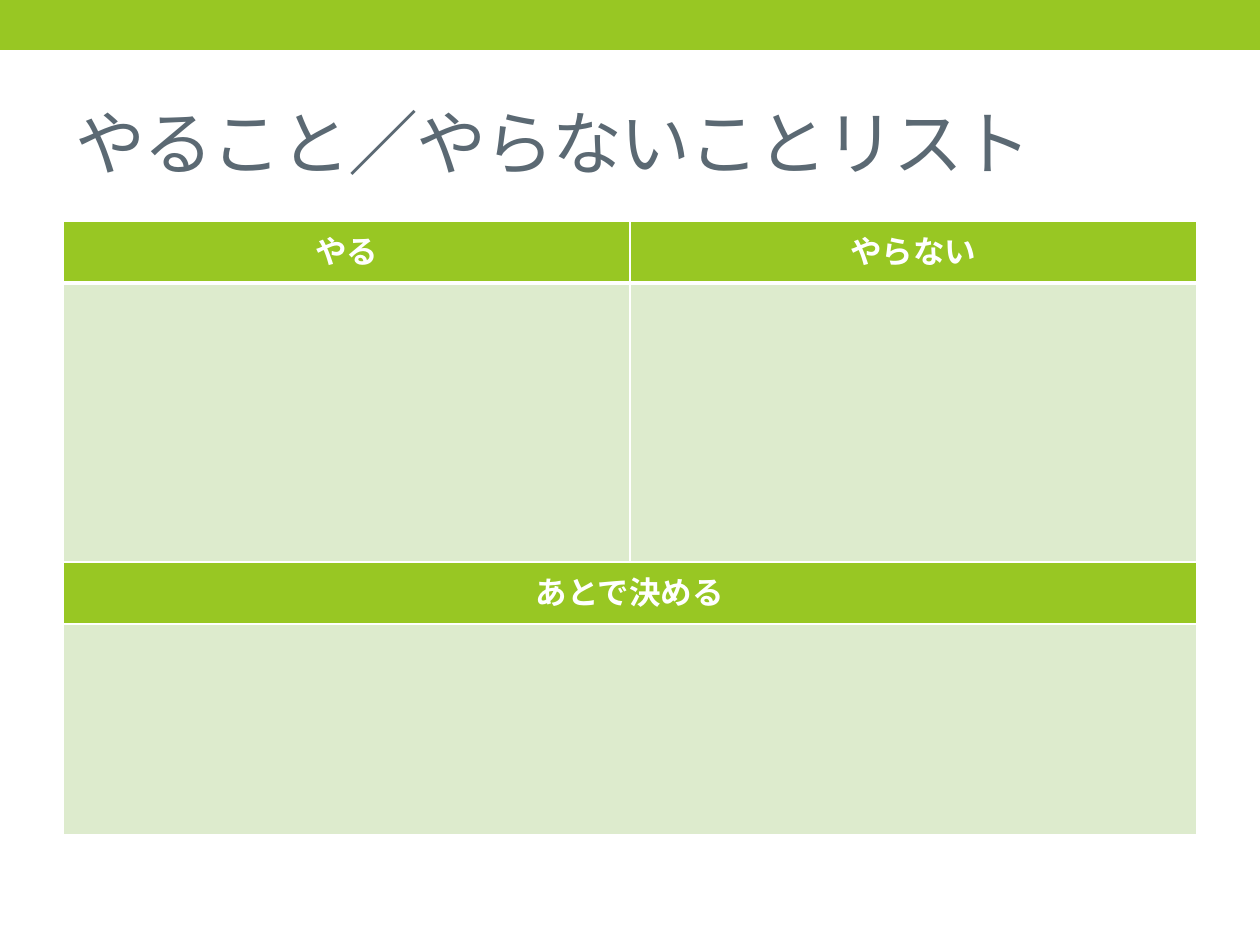
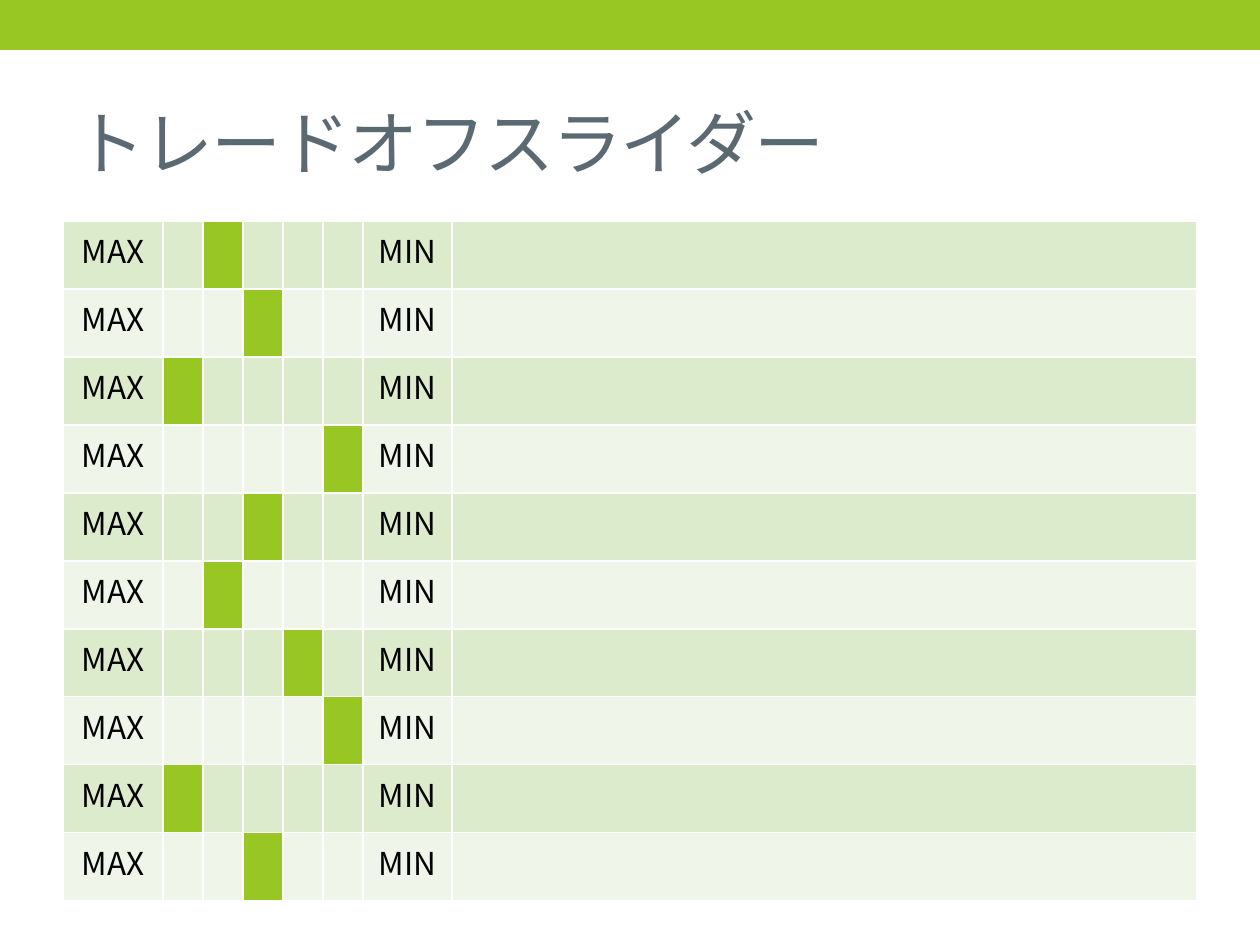
import lxml.etree
import pptx
import pptx.dml.color
import pptx.enum.shapes
import pptx.enum.text
import pptx.oxml.ns
import pptx.util

PX = 7257  # EMU per px, 126 px to the inch
WIDTH, HEIGHT = 1260, 945
MARGIN = 63
TABLE_TOP = 221
TABLE_WIDTH = WIDTH - 2 * MARGIN
FONT = "Noto Sans CJK JP"
GREEN, PALE, PALER = "98C723", "DDEBCD", "EFF5E8"
SLATE, WHITE, BLACK = "5B6973", "FFFFFF", "000000"
qn = pptx.oxml.ns.qn


def rgb(color):
    return pptx.dml.color.RGBColor.from_string(color)


def add_run(paragraph, text, size, color, bold=False):
    run = paragraph.add_run()
    run.text = text
    run.font.size = pptx.util.Pt(size)
    run.font.name = FONT
    run.font.bold = bold
    run.font.color.rgb = rgb(color)
    east_asian = lxml.etree.SubElement(run.font._element, qn("a:ea"))
    east_asian.set("typeface", FONT)
    return run


# Each grid is a list of rows, each row a list of (text, fill).
decision_grid = [
    [("やる", GREEN), ("やらない", GREEN)],
    [("", PALE), ("", PALE)],
    [("あとで決める", GREEN), ("", GREEN)],
    [("", PALE), ("", PALE)],
]

STEPS = 5
slider_positions = [2, 3, 1, 5, 3, 2, 4, 5, 1, 3]
slider_grid = []
for index, position in enumerate(slider_positions):
    band = PALER if index % 2 else PALE
    steps = [("", GREEN if step == position else band) for step in range(1, STEPS + 1)]
    slider_grid.append([("MAX", band), *steps, ("MIN", band), ("", band)])

slider_columns = [100] + [40] * STEPS + [89]
slider_columns.append(TABLE_WIDTH - sum(slider_columns))

# Title, grid, column widths, row heights, rows merged across, header row present
pages = [
    ("やること／やらないことリスト", decision_grid,
     [TABLE_WIDTH // 2] * 2, [62, 279, 62, 211], [2, 3], True),
    ("トレードオフスライダー", slider_grid,
     slider_columns, [68] * len(slider_grid), [], False),
]

deck = pptx.Presentation()
deck.slide_width = WIDTH * PX
deck.slide_height = HEIGHT * PX
title_only = deck.slide_layouts[5]

for heading, grid, columns, rows, merged_rows, has_header in pages:
    slide = deck.slides.add_slide(title_only)

    top_band = slide.shapes.add_shape(
        pptx.enum.shapes.MSO_SHAPE.RECTANGLE, 0, 0, WIDTH * PX, 50 * PX)
    top_band.shadow.inherit = False
    top_band.fill.solid()
    top_band.fill.fore_color.rgb = rgb(GREEN)
    top_band.line.fill.background()

    title = slide.shapes.title
    title.left, title.top = MARGIN * PX, 73 * PX
    title.width, title.height = TABLE_WIDTH * PX, 136 * PX
    title.text_frame.vertical_anchor = pptx.enum.text.MSO_ANCHOR.MIDDLE
    title.text_frame.auto_size = pptx.enum.text.MSO_AUTO_SIZE.NONE
    title_line = title.text_frame.paragraphs[0]
    title_line.alignment = pptx.enum.text.PP_ALIGN.LEFT
    add_run(title_line, heading, 40, SLATE).font._element.set("spc", "-100")

    table = slide.shapes.add_table(
        len(rows), len(columns), MARGIN * PX, TABLE_TOP * PX,
        TABLE_WIDTH * PX, sum(rows) * PX).table
    table.first_row = False
    table.horz_banding = False
    for column, width in zip(table.columns, columns):
        column.width = width * PX
    for row, height in zip(table.rows, rows):
        row.height = height * PX

    for row_index, cells in enumerate(grid):
        for column_index, (text, fill) in enumerate(cells):
            cell = table.cell(row_index, column_index)
            properties = cell._tc.get_or_add_tcPr()
            for side in ("lnL", "lnR", "lnT", "lnB"):
                under_header = has_header and (row_index, side) in [(0, "lnB"), (1, "lnT")]
                border = lxml.etree.SubElement(properties, qn("a:" + side))
                border.set("w", str(pptx.util.Pt(3 if under_header else 1)))
                border_fill = lxml.etree.SubElement(border, qn("a:solidFill"))
                lxml.etree.SubElement(border_fill, qn("a:srgbClr")).set("val", WHITE)
            cell.fill.solid()
            cell.fill.fore_color.rgb = rgb(fill)
            if text:
                label = cell.text_frame.paragraphs[0]
                label.alignment = pptx.enum.text.PP_ALIGN.CENTER
                is_heading = fill == GREEN
                add_run(label, text, 18, WHITE if is_heading else BLACK, is_heading)

    for row_index in merged_rows:
        table.cell(row_index, 0).merge(table.cell(row_index, len(columns) - 1))

deck.save("out.pptx")
